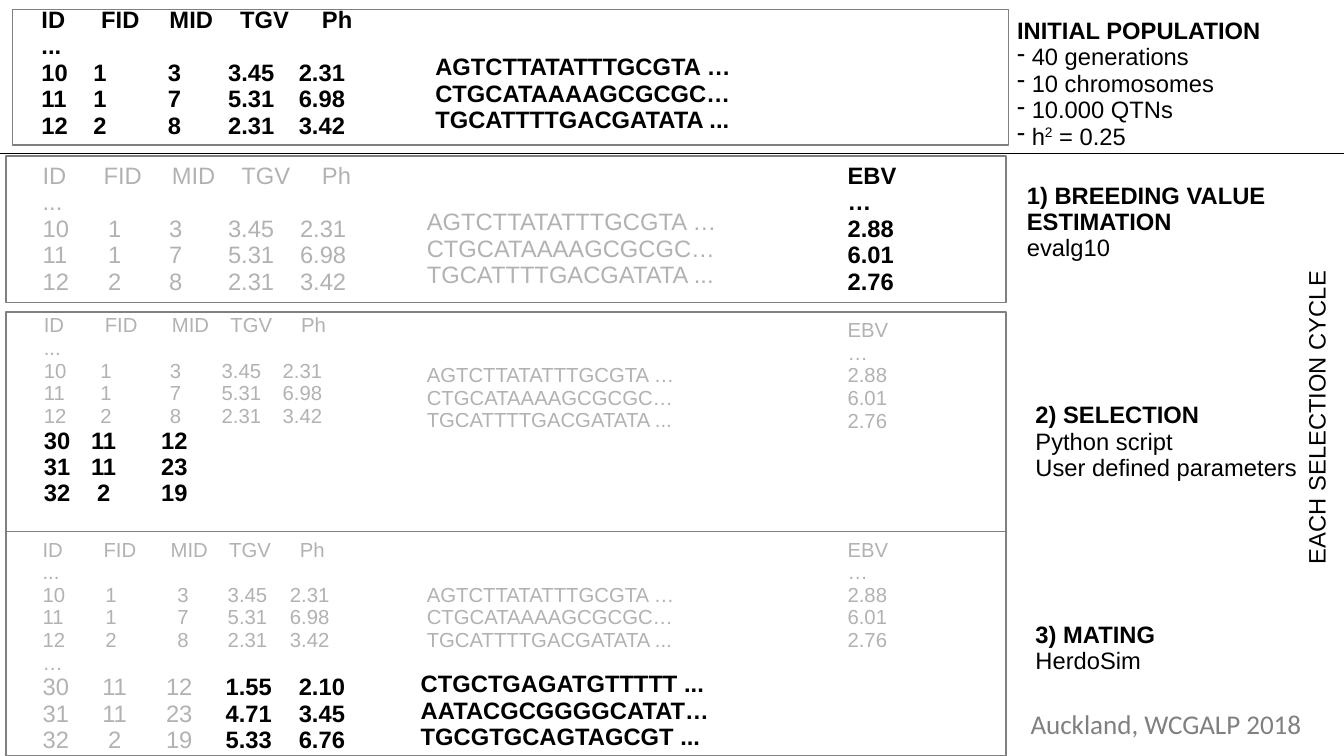
from dataclasses import dataclass

from lxml.etree import SubElement
from pptx import Presentation
from pptx.dml.color import RGBColor
from pptx.enum.shapes import MSO_CONNECTOR, MSO_SHAPE
from pptx.enum.text import MSO_ANCHOR, PP_ALIGN
from pptx.oxml.ns import qn
from pptx.util import Inches, Pt

W, H = 11.02, 6.2
COLS, ROWS = 110.2, 62


@dataclass(frozen=True)
class Style:
    """Look of a run of text."""
    size: int
    color: str
    bold: bool = False
    font: str = "Arial"


@dataclass(frozen=True)
class Theme:
    """Colours and type of the slide."""
    new: Style = Style(14, "000000", True)
    body: Style = Style(14, "000000")
    old: Style = Style(14, "B2B2B2")
    old_small: Style = Style(12, "B2B2B2")
    footer: Style = Style(16, "808080", font="Calibri")
    frame: str = "808080"
    rule: str = "000000"
    line_width: float = 0.75
    spacing: float = 0.93


T = Theme()
HEADER = ["ID", "FID", "MID", "TGV", "Ph"]
ANIMALS = [
    ["10", "1", "3", "3.45", "2.31"],
    ["11", "1", "7", "5.31", "6.98"],
    ["12", "2", "8", "2.31", "3.42"],
]
OFFSPRING = [["30", "11", "12"], ["31", "11", "23"], ["32", "2", "19"]]
OFFSPRING_VALUES = [["1.55", "2.10"], ["4.71", "3.45"], ["5.33", "6.76"]]
GENOMES = ["AGTCTTATATTTGCGTA …", "CTGCATAAAAGCGCGC…", "TGCATTTTGACGATATA ..."]
OFFSPRING_GENOMES = ["CTGCTGAGATGTTTTT ...", "AATACGCGGGGCATAT…", "TGCGTGCAGTAGCGT ..."]
EBVS = ["EBV", "…", "2.88", "6.01", "2.76"]


def gx(cols):
    """Width of a number of grid columns."""
    return Inches(cols * W / COLS)


def gy(rows):
    """Height of a number of grid rows."""
    return Inches(rows * H / ROWS)


def place(box):
    """Turn a grid box into slide lengths."""
    x, y, w, h = box
    return gx(x), gy(y), gx(w), gy(h)


def add_run(p, text, style):
    """Add one styled run."""
    r = p.add_run()
    r.text = text
    r.font.name, r.font.size, r.font.bold = style.font, Pt(style.size), style.bold
    r.font.color.rgb = RGBColor.from_string(style.color)
    return r


def add_text(s, box, top=0.6):
    """Add an empty wrapping text box and return its frame."""
    tf = s.shapes.add_textbox(*place(box)).text_frame
    tf.word_wrap = True
    tf.margin_left = tf.margin_right = gx(1)
    tf.margin_top, tf.margin_bottom = gy(top), gy(0.5)
    return tf


def add_line(tf, runs, stops=(), align="ctr", bullet=False):
    """Add a paragraph of (text, style) runs with tab stops or a dash bullet."""
    p = tf.paragraphs[0]
    if p.runs:
        p = tf.add_paragraph()
    p.line_spacing = T.spacing
    pPr = p._p.get_or_add_pPr()
    if bullet:
        pPr.set("marL", str(gx(1.2)))
        pPr.set("indent", str(-gx(1.2)))
        SubElement(pPr, qn("a:buChar"), char="-")
    if stops:
        tabs = SubElement(pPr, qn("a:tabLst"))
        for stop in stops:
            SubElement(tabs, qn("a:tab"), pos=str(gx(stop)), algn=align)
    for text, style in runs:
        add_run(p, text, style)
    return p


def column(s, box, lines, style):
    """Stack lines of one style."""
    tf = add_text(s, box)
    for text in lines:
        add_line(tf, [(text, style)])


def panel(s, box, style, head_stops, stops, table, genomes, ebv=None, offspring=(), new_stops=(), gap=False):
    """Frame a population with its pedigree, genomes and breeding values."""
    x, y, w, h = box
    tf = add_text(s, (x + table[0], y + table[1], 37, h))
    add_line(tf, [("\t".join(HEADER), style)], head_stops, "l")
    add_line(tf, [("...", style)])
    for animal in ANIMALS:
        add_line(tf, [("\t".join(animal), style)], stops)
    if gap:
        add_line(tf, [("…", style)])
    for runs in offspring:
        add_line(tf, runs, new_stops)
    column(s, (x + genomes[0], y + genomes[1], 58, 6.3), GENOMES, style)
    if ebv:
        column(s, (x + 68, y, 10, 10), EBVS, ebv)
    frame = s.shapes.add_shape(MSO_SHAPE.RECTANGLE, *place(box))
    frame.shadow.inherit = False
    frame.fill.background()
    frame.line.color.rgb = RGBColor.from_string(T.frame)
    frame.line.width = Pt(T.line_width)


def note(s, box, title, lines, bullet=False):
    """Add a bold step title with its details."""
    tf = add_text(s, box, 0.7)
    add_line(tf, [(title, T.new)])
    for text in lines:
        add_line(tf, [(text, T.body)], bullet=bullet)
    return tf


def cycle_label(s, box):
    """Add the label that reads upwards."""
    tf = add_text(s, box, 0)
    tf.margin_left = tf.margin_right = tf.margin_bottom = 0
    tf._txBody.bodyPr.set("vert", "vert270")
    tf.vertical_anchor = MSO_ANCHOR.MIDDLE
    add_line(tf, [("EACH SELECTION CYCLE", T.body)]).alignment = PP_ALIGN.CENTER


def divider(s, y):
    """Rule off the initial population across the slide."""
    line = s.shapes.add_connector(MSO_CONNECTOR.STRAIGHT, 0, gy(y), gx(COLS), gy(y))
    line.line.color.rgb = RGBColor.from_string(T.rule)
    line.line.width = Pt(T.line_width)
    SubElement(line._element.spPr, qn("a:effectLst"))


def populations(s):
    """Place the four population panels."""
    panel(s, (1, 0.8, 81.7, 11.1), T.new, (4.9, 10.5, 16.3, 23), (4.8, 10.9, 17.2, 23),
          (1.4, -0.8), (33.7, 3.1))
    panel(s, (0.5, 12.8, 82, 12), T.old, (5, 10.6, 16.3, 22.9), (5.9, 10.9, 17.1, 23),
          (2, 0), (33.5, 3.8), T.new)
    panel(s, (0.5, 25.6, 82, 18), T.old_small, (5, 10.5, 15.3, 21.1), (5.1, 10.8, 16.2, 21.2),
          (2.1, -0.4), (33.5, 3.7), T.old_small,
          [[("\t".join(ids), T.new)] for ids in OFFSPRING], (4.9, 10.7))
    mated = [[("\t".join(ids) + "\t", T.old), ("\t".join(values), T.new)]
             for ids, values in zip(OFFSPRING, OFFSPRING_VALUES)]
    panel(s, (0.5, 43.6, 82, 18.4), T.old_small, (5, 10.5, 15.3, 21.1), (5.6, 11.5, 16.8, 21.9),
          (2, 0), (33.5, 3.7), T.old_small, mated, (5.9, 11.2, 16.9, 22.9), True)
    column(s, (33.5, 54.5, 58, 6.3), OFFSPRING_GENOMES, T.new)


def notes_column(s):
    """Place the explanations to the right of the panels."""
    tf = note(s, (82.4, 0.8, 27, 12), "INITIAL POPULATION",
              ["40 generations", "10 chromosomes", "10.000 QTNs"], True)
    p = add_line(tf, [("h", T.body)], bullet=True)
    add_run(p, "2", T.body).font._element.set("baseline", "33000")
    add_run(p, " = 0.25", T.body)
    note(s, (83.2, 14.3, 26.2, 7.5), "1) BREEDING VALUE ESTIMATION", ["evalg10"])
    note(s, (83.9, 32.3, 26.2, 7.5), "2) SELECTION", ["Python script", "User defined parameters"])
    note(s, (83.9, 50.3, 26.2, 5.5), "3) MATING", ["HerdoSim"])
    cycle_label(s, (106.3, 20.7, 3.5, 27.1))
    p = add_text(s, (83.5, 57.5, 24.4, 3.6), 0.5).paragraphs[0]
    add_run(p, "Auckland, WCGALP 2018", T.footer)


def main():
    """Build and save the slide."""
    prs = Presentation()
    prs.slide_width, prs.slide_height = Inches(W), Inches(H)
    s = prs.slides.add_slide(prs.slide_layouts[6])
    populations(s)
    notes_column(s)
    divider(s, 12.6)
    prs.save("out.pptx")


if __name__ == "__main__":
    main()
